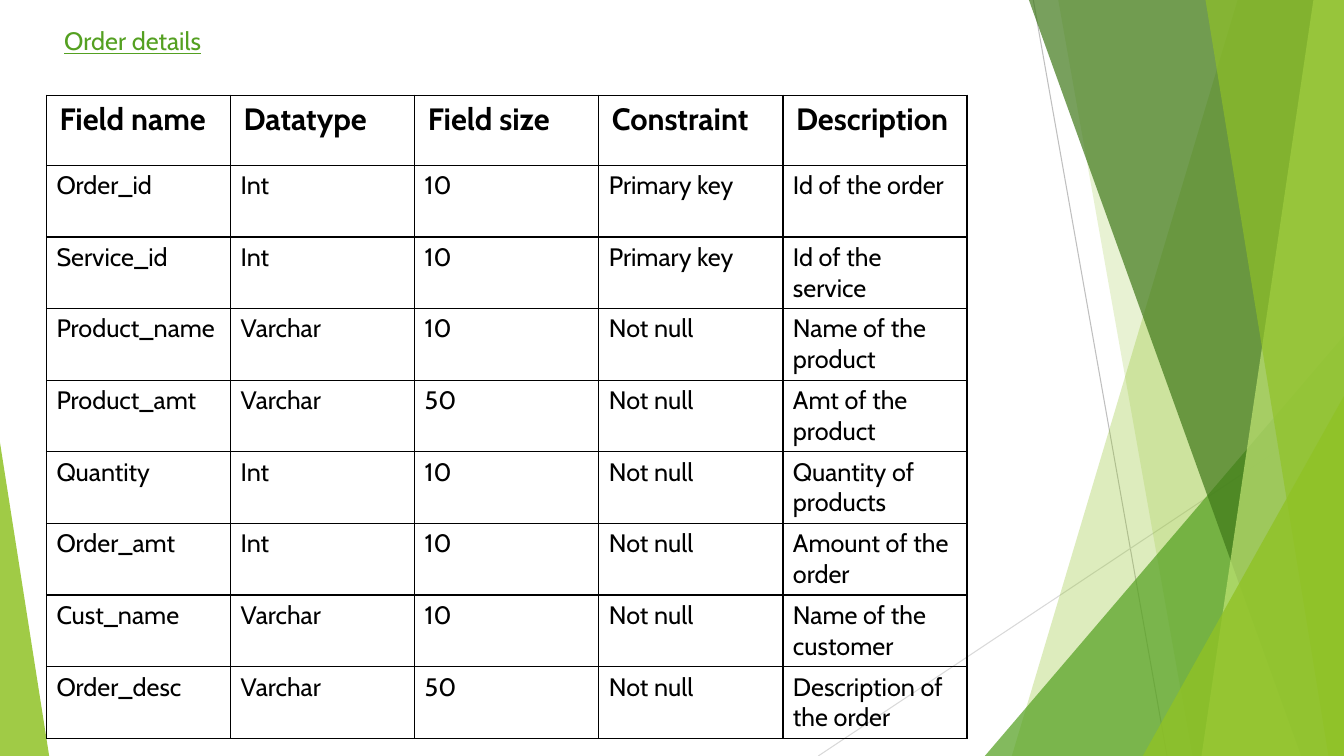
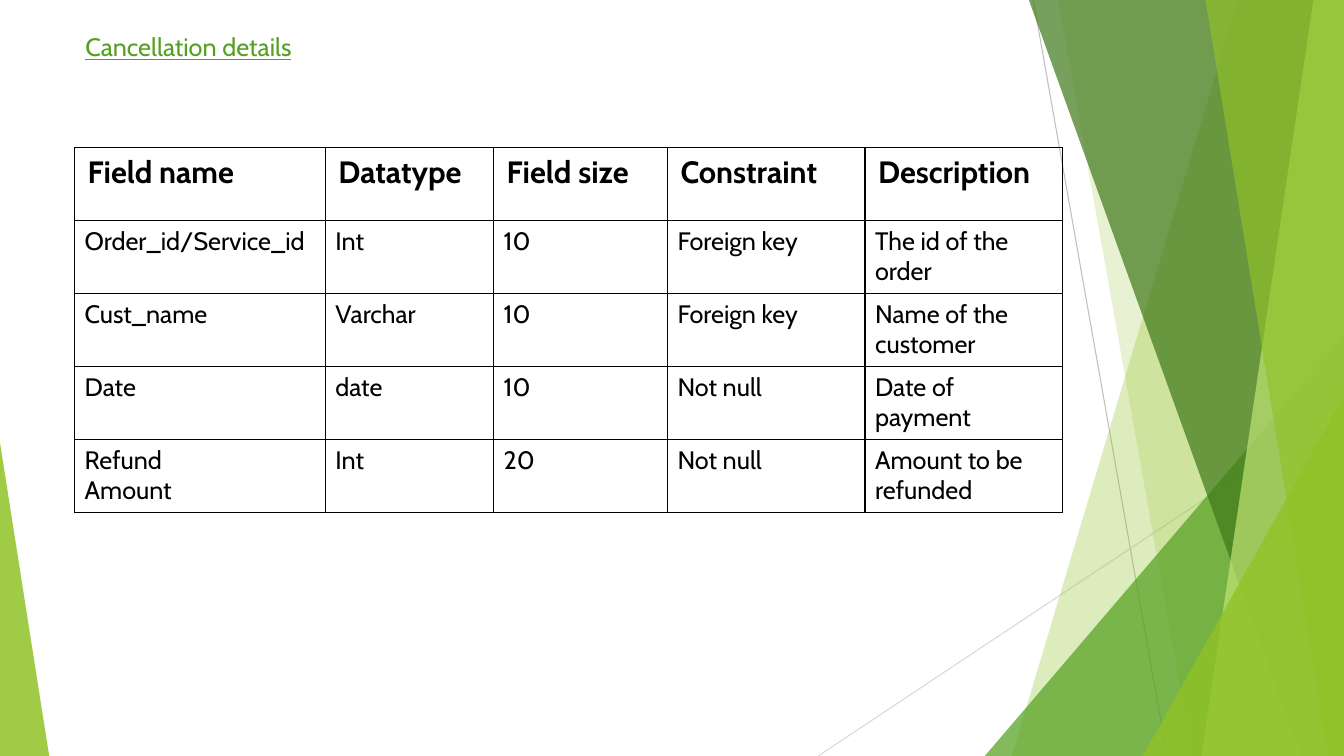
from dataclasses import dataclass

from lxml.etree import SubElement
from pptx import Presentation
from pptx.dml.color import RGBColor
from pptx.enum.shapes import MSO_CONNECTOR, MSO_SHAPE
from pptx.enum.text import MSO_AUTO_SIZE
from pptx.oxml.ns import qn
from pptx.util import Cm, Pt


@dataclass(frozen=True)
class Theme:
    """Colours, type sizes and page measures shared by the slides."""

    font: str = "Cabin"
    title_size: int = 18
    header_size: int = 22
    body_size: int = 18
    text: str = "000000"
    border: str = "000000"
    border_width: float = 1
    green: str = "54A021"
    lime: str = "90C226"
    forest: str = "3F7819"
    pale_lime: str = "C0E474"
    ray: str = "BFBFBF"
    faint_ray: str = "D9D9D9"
    ray_width: float = 0.75
    width: float = 33.87
    height: float = 19.05


THEME = Theme()
FIELD_HEADER = ("Field name", "Datatype", "Field size", "Constraint", "Description")
ORDER_FIELDS = (
    ("Order_id", "Int", "10", "Primary key", "Id of the order"),
    ("Service_id", "Int", "10", "Primary key", "Id of the service"),
    ("Product_name", "Varchar", "10", "Not null", "Name of the product"),
    ("Product_amt", "Varchar", "50", "Not null", "Amt of the product"),
    ("Quantity", "Int", "10", "Not null", "Quantity of products"),
    ("Order_amt", "Int", "10", "Not null", "Amount of the order"),
    ("Cust_name", "Varchar", "10", "Not null", "Name of the customer"),
    ("Order_desc", "Varchar", "50", "Not null", "Description of the order"),
)
CANCELLATION_FIELDS = (
    ("Order_id/Service_id", "Int", "10", "Foreign key", "The id of the order"),
    ("Cust_name", "Varchar", "10", "Foreign key", "Name of the customer"),
    ("Date", "date", "10", "Not null", "Date of payment"),
    ("Refund\nAmount", "Int", "20", "Not null", "Amount to be refunded"),
)


def rgb(code):
    """Turn a hex code into a colour."""
    return RGBColor.from_string(code)


def style_text(frame, size, color, bold=False, underline=False):
    """Give every paragraph of a text frame the same font."""
    for paragraph in frame.paragraphs:
        font = paragraph.font
        font.name, font.size = THEME.font, Pt(size)
        font.bold, font.underline = bold, underline
        font.color.rgb = rgb(color)


def tint(facet, color, opacity):
    """Fill a facet with a see-through colour and no outline."""
    facet.shadow.inherit = False
    facet.line.fill.background()
    facet.fill.solid()
    facet.fill.fore_color.rgb = rgb(color)
    fill_color = facet.element.spPr.find(qn("a:solidFill"))[0]
    SubElement(fill_color, qn("a:alpha"), val=str(opacity * 1000))


def add_ray(slide, start, end, color):
    """Draw a thin background line."""
    points = [Cm(length) for length in (*start, *end)]
    ray = slide.shapes.add_connector(MSO_CONNECTOR.STRAIGHT, *points)
    ray.line.color.rgb = rgb(color)
    ray.line.width = Pt(THEME.ray_width)
    SubElement(ray.element.spPr, qn("a:effectLst"))


def add_band(slide, top_x, bottom_x, color, opacity):
    """Draw a full-height band from a slanted edge to the right side."""
    right, bottom = Cm(THEME.width), Cm(THEME.height)
    outline = slide.shapes.build_freeform(Cm(top_x), 0)
    outline.add_line_segments([(right, 0), (right, bottom), (Cm(bottom_x), bottom)])
    tint(outline.convert_to_shape(), color, opacity)


def add_corner(slide, left, top, right, apex, color, opacity):
    """Draw a triangle standing on the bottom edge."""
    corner = slide.shapes.add_shape(
        MSO_SHAPE.ISOSCELES_TRIANGLE,
        Cm(left), Cm(top), Cm(right - left), Cm(THEME.height - top),
    )
    corner.adjustments[0] = apex
    tint(corner, color, opacity)


def add_backdrop(slide):
    """Draw the green facets behind the content."""
    right, bottom = THEME.width, THEME.height
    add_ray(slide, (26.04, 0), (29.41, bottom), THEME.ray)
    add_ray(slide, (right, 10.24), (20.62, bottom), THEME.faint_ray)
    add_band(slide, 31.19, 25.5, THEME.lime, 30)
    add_band(slide, 26.67, 30.05, THEME.lime, 20)
    add_corner(slide, 24.82, 8.46, right, 1, THEME.green, 72)
    add_band(slide, 25.93, 32.79, THEME.forest, 70)
    add_band(slide, 33.1, 30.28, THEME.pale_lime, 70)
    add_band(slide, 30.38, 33.48, THEME.lime, 65)
    add_corner(slide, 28.8, 9.98, right, 1, THEME.lime, 80)
    add_corner(slide, 0, 11.15, 1.24, 0, THEME.lime, 85)


def add_title(slide, title, left, top, width):
    """Write the underlined slide title."""
    box = slide.shapes.add_textbox(Cm(left), Cm(top), Cm(width), Cm(1.02))
    frame = box.text_frame
    frame.word_wrap = True
    frame.auto_size = MSO_AUTO_SIZE.SHAPE_TO_FIT_TEXT
    frame.text = title
    style_text(frame, THEME.title_size, THEME.green, underline=True)


def add_borders(cell):
    """Draw a thin line on each side of a cell."""
    properties = cell._tc.get_or_add_tcPr()
    for side in ("lnL", "lnR", "lnT", "lnB"):
        line = SubElement(properties, qn(f"a:{side}"), w=str(Pt(THEME.border_width)))
        fill = SubElement(line, qn("a:solidFill"))
        SubElement(fill, qn("a:srgbClr"), val=THEME.border)


def fill_cell(cell, text, is_header):
    """Write and style one cell."""
    cell.text = text
    add_borders(cell)
    cell.fill.background()
    if is_header:
        cell.margin_left = cell.margin_right = Cm(0.33)
        cell.margin_top = cell.margin_bottom = Cm(0.15)
    size = THEME.header_size if is_header else THEME.body_size
    style_text(cell.text_frame, size, THEME.text, bold=is_header)


def add_field_table(slide, fields, left, top, widths, header_height, row_height):
    """Add a table that describes database fields."""
    records = (FIELD_HEADER, *fields)
    heights = [header_height] + [row_height] * len(fields)
    table = slide.shapes.add_table(
        len(records), len(widths),
        Cm(left), Cm(top), Cm(sum(widths)), Cm(sum(heights)),
    ).table
    table.first_row = table.horz_banding = False
    for column, width in zip(table.columns, widths):
        column.width = Cm(width)
    for index, (row, height, record) in enumerate(zip(table.rows, heights, records)):
        row.height = Cm(height)
        for cell, text in zip(row.cells, record):
            fill_cell(cell, text, index == 0)


def add_slide(deck):
    """Add a blank slide with the shared backdrop."""
    slide = deck.slides.add_slide(deck.slide_layouts[6])
    add_backdrop(slide)
    return slide


def main():
    """Build and save the presentation."""
    deck = Presentation()
    deck.slide_width, deck.slide_height = Cm(THEME.width), Cm(THEME.height)

    orders = add_slide(deck)
    add_field_table(orders, ORDER_FIELDS, 1.17, 2.4, [4.64] * 5, 1.77, 1.8)
    add_title(orders, "Order details", 1.37, 0.52, 8.6)

    cancellations = add_slide(deck)
    widths = [6.32, 4.24, 4.38, 4.98, 4.98]
    add_field_table(cancellations, CANCELLATION_FIELDS, 1.88, 3.72, widths, 1.84, 1.84)
    add_title(cancellations, "Cancellation details", 1.9, 0.67, 11.96)

    deck.save("out.pptx")


if __name__ == "__main__":
    main()
